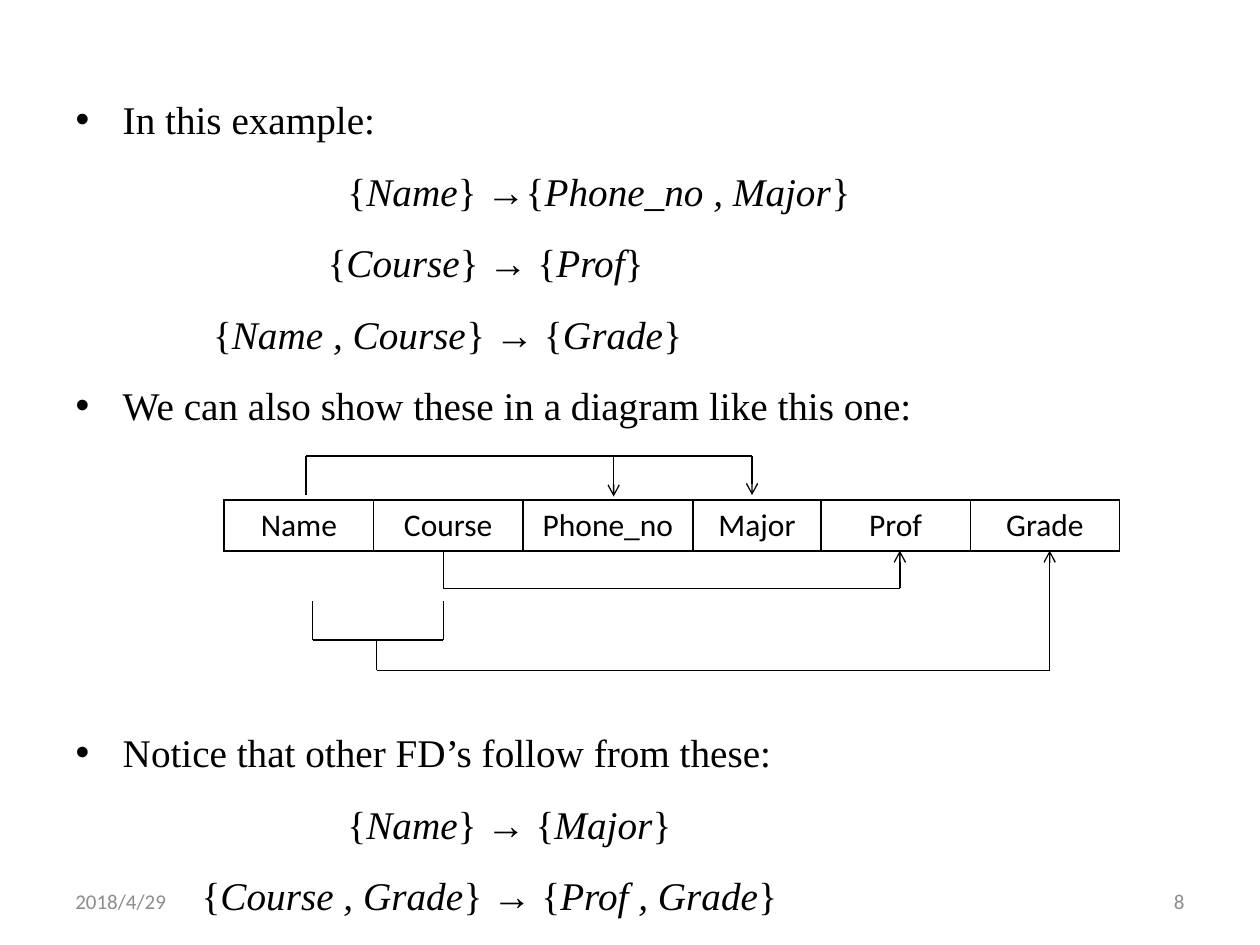
"""Build a slide on functional dependencies with an attribute diagram."""
import itertools

import pptx
import pptx.dml.color
import pptx.enum.shapes
import pptx.enum.text
import pptx.oxml
import pptx.oxml.ns
import pptx.util
from pptx.util import Cm

BLACK = pptx.dml.color.RGBColor(0x00, 0x00, 0x00)
GREY = pptx.dml.color.RGBColor(0x8C, 0x8C, 0x8C)
ALIGN = pptx.enum.text.PP_ALIGN
ANCHOR = pptx.enum.text.MSO_ANCHOR

BODY_FONT = {"name": "Times New Roman", "size": pptx.util.Pt(22.4)}
CELL_FONT = {"name": "Calibri", "size": pptx.util.Pt(18)}
FOOTER_FONT = {"name": "Calibri", "size": pptx.util.Pt(12)}
LINE_GAP = 5.9
DIAGRAM_GAP = 163.4

BODY = [
    ("In this example:", LINE_GAP),
    (5.48, "Name", "} →{", "Phone_no , Major"),
    (5.08, "Course", "} → {", "Prof"),
    (2.77, "Name , Course", "} → {", "Grade"),
    ("We can also show these in a diagram like this one:", LINE_GAP),
    ("Notice that other FD’s follow from these:", DIAGRAM_GAP),
    (5.48, "Name", "} → {", "Major"),
    (2.54, "Course , Grade", "} → {", "Prof , Grade"),
]
COLUMNS = {"Name": 3.01, "Course": 3.01, "Phone_no": 3.43,
           "Major": 2.58, "Prof": 3.01, "Grade": 3.01}
PATHS = [
    ([(6.17, 9.98), (6.17, 9.19), (15.16, 9.19), (15.16, 9.98)], True),
    ([(12.37, 9.22), (12.37, 10.01)], True),
    ([(8.94, 11.1), (8.94, 11.86), (18.14, 11.86), (18.14, 11.1)], True),
    ([(6.3, 12.12), (6.3, 12.9), (8.94, 12.9), (8.94, 12.12)], False),
    ([(7.59, 12.9), (7.59, 13.51), (21.16, 13.51), (21.16, 11.1)], True),
]


def apply(target, values):
    """Set every attribute named in a dict of format values."""
    for name, value in values.items():
        setattr(target, name, value)


def add_child(parent, tag, **attributes):
    """Append a drawing element with the given attributes."""
    child = pptx.oxml.parse_xml(f"<a:{tag} {pptx.oxml.ns.nsdecls('a')}/>")
    for name, value in attributes.items():
        child.set(name, value)
    parent.append(child)
    return child


def add_span(para, text, font, color=BLACK, italic=False):
    """Add one formatted run to a paragraph."""
    span = para.add_run()
    span.text = text
    apply(span.font, {**font, "italic": italic})
    span.font.color.rgb = color


def indent(para, left, hanging):
    """Set the left margin and the first line indent."""
    properties = para._p.get_or_add_pPr()
    properties.set("marL", str(Cm(left)))
    properties.set("indent", str(Cm(-hanging)))
    return properties


def add_heading(para, text, gap):
    """Fill a bulleted paragraph."""
    para.space_before = pptx.util.Pt(gap)
    add_child(indent(para, 0.95, 0.95), "buChar", char="•")
    add_span(para, text, BODY_FONT)


def add_dependency(para, left, source, arrow, target):
    """Fill an indented paragraph with one functional dependency."""
    para.space_before = pptx.util.Pt(LINE_GAP)
    add_child(indent(para, left, 0), "buNone")
    for text, italic in (("{", False), (source, True), (arrow, False),
                         (target, True), ("}", False)):
        add_span(para, text, BODY_FONT, italic=italic)


def fill_body(box):
    """Place the body placeholder and write its paragraphs."""
    apply(box, {"left": Cm(1.27), "top": Cm(1.52),
                "width": Cm(22.86), "height": Cm(17)})
    frame = box.text_frame
    apply(frame, {"auto_size": pptx.enum.text.MSO_AUTO_SIZE.NONE,
                  "word_wrap": True, "vertical_anchor": ANCHOR.TOP})
    for index, entry in enumerate(BODY):
        para = frame.add_paragraph() if index else frame.paragraphs[0]
        para.line_spacing = 1.3
        if len(entry) == 2:
            add_heading(para, *entry)
        else:
            add_dependency(para, *entry)


def add_borders(cell):
    """Draw a thin black border on all sides of a cell."""
    properties = cell._tc.get_or_add_tcPr()
    for position, side in enumerate(("lnL", "lnR", "lnT", "lnB")):
        border = add_child(properties, side, w=str(pptx.util.Pt(1)))
        add_child(add_child(border, "solidFill"), "srgbClr", val=str(BLACK))
        properties.remove(border)
        properties.insert(position, border)


def add_attributes(page):
    """Add the one-row table of attribute names."""
    table = page.shapes.add_table(1, len(COLUMNS), Cm(4.52), Cm(10.08),
                                  Cm(sum(COLUMNS.values())), Cm(1.02)).table
    apply(table, {"first_row": False, "horz_banding": False})
    for index, (name, width) in enumerate(COLUMNS.items()):
        table.columns[index].width = Cm(width)
        cell = table.cell(0, index)
        cell.fill.background()
        para = cell.text_frame.paragraphs[0]
        para.alignment = ALIGN.CENTER
        add_span(para, name, CELL_FONT)
        add_borders(cell)


def add_path(page, points, arrow):
    """Join points with straight lines, the last one with an arrowhead."""
    for start, end in itertools.pairwise(points):
        line = page.shapes.add_connector(
            pptx.enum.shapes.MSO_CONNECTOR.STRAIGHT,
            *(Cm(value) for value in start + end))
        line.line.width = pptx.util.Pt(0.75)
        line.line.color.rgb = BLACK
        if arrow and end == points[-1]:
            add_child(line.line._get_or_add_ln(), "tailEnd", type="arrow")
        add_child(line._element.spPr, "effectLst")


def add_footer(page, left, text, alignment):
    """Add a small grey text at the foot of the slide."""
    box = page.shapes.add_textbox(Cm(left), Cm(17.65), Cm(5.92), Cm(1.02))
    apply(box.text_frame, {"word_wrap": True,
                           "vertical_anchor": ANCHOR.MIDDLE})
    para = box.text_frame.paragraphs[0]
    para.alignment = alignment
    add_span(para, text, FOOTER_FONT, GREY)


def main():
    """Build and save the deck."""
    deck = pptx.Presentation()
    apply(deck, {"slide_width": Cm(25.4), "slide_height": Cm(19.05)})
    page = deck.slides.add_slide(deck.slide_layouts[1])
    title = page.shapes.title._element
    title.getparent().remove(title)
    fill_body(page.placeholders[1])
    add_attributes(page)
    for points, arrow in PATHS:
        add_path(page, points, arrow)
    add_footer(page, 1.27, "2018/4/29", ALIGN.LEFT)
    add_footer(page, 18.21, "8", ALIGN.RIGHT)
    deck.save("out.pptx")


main()
